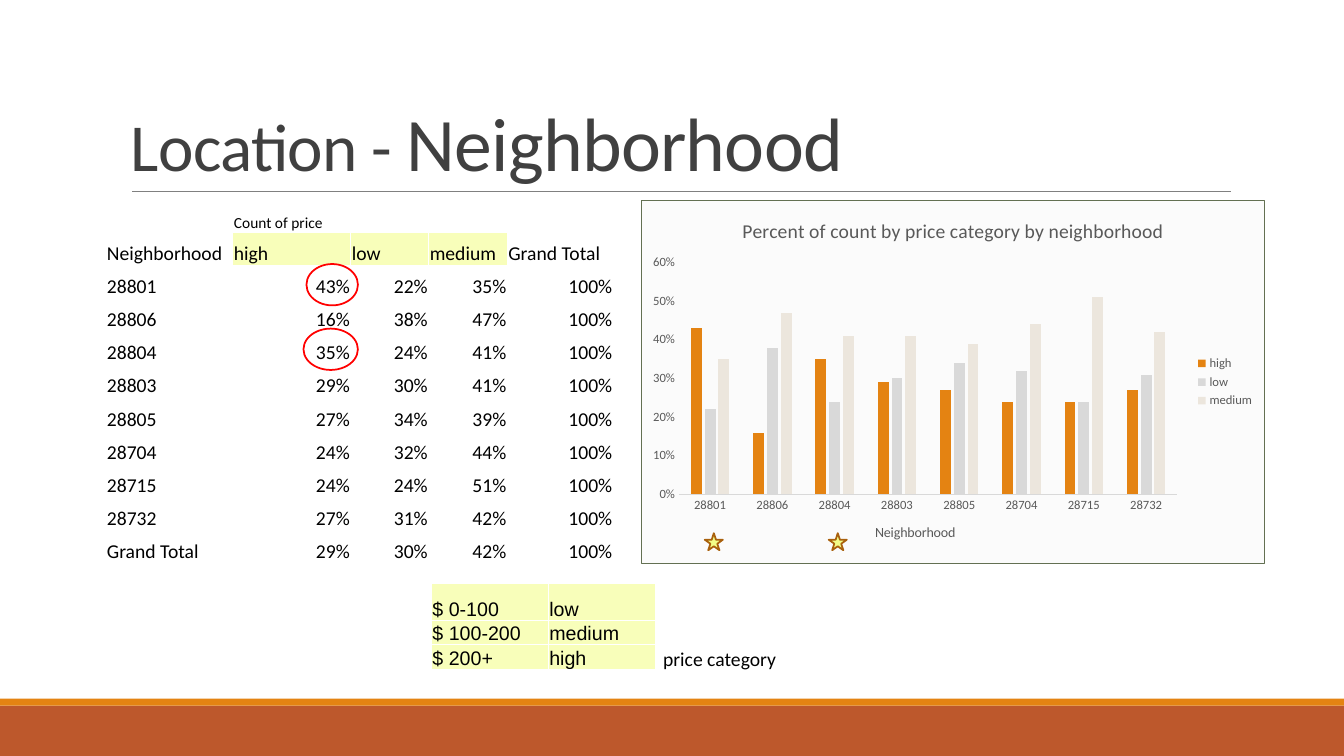
"""Build the slide that compares price categories across neighborhoods."""
import lxml.etree
import pptx
import pptx.chart.data
import pptx.dml.color
import pptx.enum.chart
import pptx.enum.shapes
import pptx.enum.text
import pptx.oxml
import pptx.oxml.ns
import pptx.util

Pt = pptx.util.Pt
qn = pptx.oxml.ns.qn
SHAPE = pptx.enum.shapes.MSO_SHAPE
ANCHOR = pptx.enum.text.MSO_ANCHOR
ALIGN = pptx.enum.text.PP_ALIGN
YELLOW, ORANGE, GREY, BLACK = "F8FEBA", "E48312", "595959", "000000"

prs = pptx.Presentation()
prs.slide_width = pptx.util.Inches(13.33)
prs.slide_height = pptx.util.Inches(7.5)
s = prs.slides.add_slide(prs.slide_layouts[6])


def rgb(code):
    """Turn a hex string into a colour."""
    return pptx.dml.color.RGBColor.from_string(code)


def box(left, top, width, height):
    """Turn percentages of the slide into a position and a size."""
    w, h = prs.slide_width / 100, prs.slide_height / 100
    return int(left * w), int(top * h), int(width * w), int(height * h)


for top, height, color in [(93.33, 6.67, "BD582C"), (92.4, 0.93, ORANGE)]:
    sp = s.shapes.add_shape(SHAPE.RECTANGLE, *box(0, top, 100, height))
    sp.shadow.inherit = False
    sp.fill.solid()
    sp.fill.fore_color.rgb = rgb(color)
    sp.line.fill.background()

x, y, w, h = box(9.83, 25.33, 81.77, 0)
rule = s.shapes.add_connector(pptx.enum.shapes.MSO_CONNECTOR.STRAIGHT, x, y, x + w, y)
rule.line.color.rgb = rgb("808080")
rule.line.width = Pt(0.5)
lxml.etree.SubElement(rule._element.spPr, qn("a:effectLst"))

tf = s.shapes.add_textbox(*box(9, 4.13, 82.5, 21.2)).text_frame
tf.word_wrap = True
tf.vertical_anchor = ANCHOR.BOTTOM
p = tf.paragraphs[0]
p.line_spacing = 0.85
p.font.name = "Calibri"
p.font.color.rgb = rgb("404040")
for text, size in [("Location - ", 48), ("Neighborhood", 54)]:
    r = p.add_run()
    r.text = text
    r.font.size = Pt(size)
    r._r.get_or_add_rPr().set("spc", "-50")

zips = ["28801", "28806", "28804", "28803", "28805", "28704", "28715", "28732"]
shares = {
    "high": [43, 16, 35, 29, 27, 24, 24, 27],
    "low": [22, 38, 24, 30, 34, 32, 24, 31],
    "medium": [35, 47, 41, 41, 39, 44, 51, 42],
}
rows = [["", "Count of price", "", "", ""],
        ["Neighborhood", *shares, "Grand Total"]]
for name, *values in [*zip(zips, *shares.values()), ("Grand Total", 29, 30, 42)]:
    rows.append([name, *[f"{v}%" for v in values], "100%"])
categories = [["$ 0-100", "low"], ["$ 100-200", "medium"], ["$ 200+", "high"]]

tables = [
    (rows, 7.88, 26.4, [9.45, 8.78, 5.8, 5.85, 7.88], [4.38] * 11, "Calibri"),
    (categories, 32.1, 77.2, [8.7, 8], [4.85, 3.04, 3.04], "Arial"),
]
for cells, left, top, widths, heights, font in tables:
    frame = s.shapes.add_table(len(heights), len(widths),
                               *box(left, top, sum(widths), sum(heights)))
    tbl = frame.table
    tbl.first_row = tbl.horz_banding = False
    for i, width in enumerate(widths):
        tbl.columns[i].width = box(0, 0, width, 0)[2]
    for j, height in enumerate(heights):
        tbl.rows[j].height = box(0, 0, 0, height)[3]
        for i, text in enumerate(cells[j]):
            cell = tbl.cell(j, i)
            cell.margin_left = cell.margin_right = cell.margin_top = Pt(0.72)
            cell.margin_bottom = 0
            cell.vertical_anchor = ANCHOR.BOTTOM
            for side in ("L", "R", "T", "B"):
                ln = lxml.etree.SubElement(cell._tc.get_or_add_tcPr(), qn(f"a:ln{side}"), w="12700")
                solid = lxml.etree.SubElement(ln, qn("a:solidFill"))
                lxml.etree.SubElement(solid, qn("a:srgbClr"), val="FFFFFF")
            if cells is categories or text in shares:
                cell.fill.solid()
                cell.fill.fore_color.rgb = rgb(YELLOW)
            else:
                cell.fill.background()
            p = cell.text_frame.paragraphs[0]
            p.text = text
            p.alignment = ALIGN.RIGHT if text.endswith("%") else ALIGN.LEFT
            p.font.name = font
            p.font.size = Pt(11 if cells is rows and j == 0 else 14)
            p.font.color.rgb = rgb(BLACK)

data = pptx.chart.data.CategoryChartData(number_format="0%")
data.categories = zips
for name, values in shares.items():
    data.add_series(name, [v / 100 for v in values])
chart = s.shapes.add_chart(pptx.enum.chart.XL_CHART_TYPE.COLUMN_CLUSTERED,
                           *box(47.7, 26.5, 46.43, 48.1), data).chart
chart.font.name = "Calibri"
chart.font.size = Pt(9)
chart.font.color.rgb = rgb(GREY)
chart.has_legend = True
chart.legend.position = pptx.enum.chart.XL_LEGEND_POSITION.RIGHT
chart.legend.include_in_layout = False

plot = chart.plots[0]
plot.gap_width, plot.overlap = 219, -27
plot.vary_by_categories = False
for series, color in zip(plot.series, [ORANGE, "D9D9D9", "ECE6DD"]):
    series.format.fill.solid()
    series.format.fill.fore_color.rgb = rgb(color)

cat, val = chart.category_axis, chart.value_axis
for axis in (cat, val):
    axis.major_tick_mark = axis.minor_tick_mark = pptx.enum.chart.XL_TICK_MARK.NONE
    axis.has_major_gridlines = False
cat.format.line.color.rgb = rgb("D9D9D9")
cat.format.line.width = Pt(0.75)
val.format.line.fill.background()
val.minimum_scale, val.maximum_scale, val.major_unit = 0, 0.6, 0.1
val.tick_labels.number_format = "0%"
val.tick_labels.number_format_is_linked = False

for owner, text, size in [(chart, "Percent of count by price category by neighborhood", 14),
                          (cat, "Neighborhood", 10)]:
    owner.has_title = True
    p = (chart.chart_title if owner is chart else cat.axis_title).text_frame.paragraphs[0]
    p.text = text
    p.font.name = "Calibri"
    p.font.size = Pt(size)
    p.font.bold = False
    p.font.color.rgb = rgb(GREY)

area = chart._chartSpace.chart.plotArea
for layout in area.findall(qn("c:layout")):
    area.remove(layout)
layout = lxml.etree.Element(qn("c:layout"))
manual = lxml.etree.SubElement(layout, qn("c:manualLayout"))
for tag, value in [("layoutTarget", "inner"), ("xMode", "edge"), ("yMode", "edge"),
                   ("x", "0.06"), ("y", "0.17"), ("w", "0.8"), ("h", "0.64")]:
    lxml.etree.SubElement(manual, qn(f"c:{tag}"), val=value)
area.insert(0, layout)
chart._chartSpace.chart.addnext(pptx.oxml.parse_xml(
    '<c:spPr xmlns:c="http://schemas.openxmlformats.org/drawingml/2006/chart"'
    ' xmlns:a="http://schemas.openxmlformats.org/drawingml/2006/main">'
    '<a:solidFill><a:srgbClr val="FBFBFB"/></a:solidFill>'
    '<a:ln w="9525"><a:solidFill><a:srgbClr val="637052"/></a:solidFill></a:ln></c:spPr>'))

tf = s.shapes.add_textbox(*box(48.6, 84.93, 9.98, 4.53)).text_frame
tf.word_wrap = False
tf.auto_size = pptx.enum.text.MSO_AUTO_SIZE.SHAPE_TO_FIT_TEXT
p = tf.paragraphs[0]
p.text = "price category"
p.font.name = "Calibri"
p.font.size = Pt(14)
p.font.color.rgb = rgb(BLACK)

marks = [
    (SHAPE.STAR_5_POINT, (52.44, 70.53, 1.35, 2.27), "F2FD87", "A9610D"),
    (SHAPE.STAR_5_POINT, (61.66, 70.53, 1.35, 2.27), "F2FD87", "A9610D"),
    (SHAPE.OVAL, (22.8, 34.93, 3.83, 5.47), None, "FF0000"),
    (SHAPE.OVAL, (22.58, 43.47, 4.05, 5.47), None, "FF0000"),
]
for kind, place, fill, line in marks:
    sp = s.shapes.add_shape(kind, *box(*place))
    sp.shadow.inherit = False
    if fill:
        sp.fill.solid()
        sp.fill.fore_color.rgb = rgb(fill)
    else:
        sp.fill.background()
    sp.line.color.rgb = rgb(line)
    sp.line.width = Pt(1.25)

prs.save("out.pptx")
